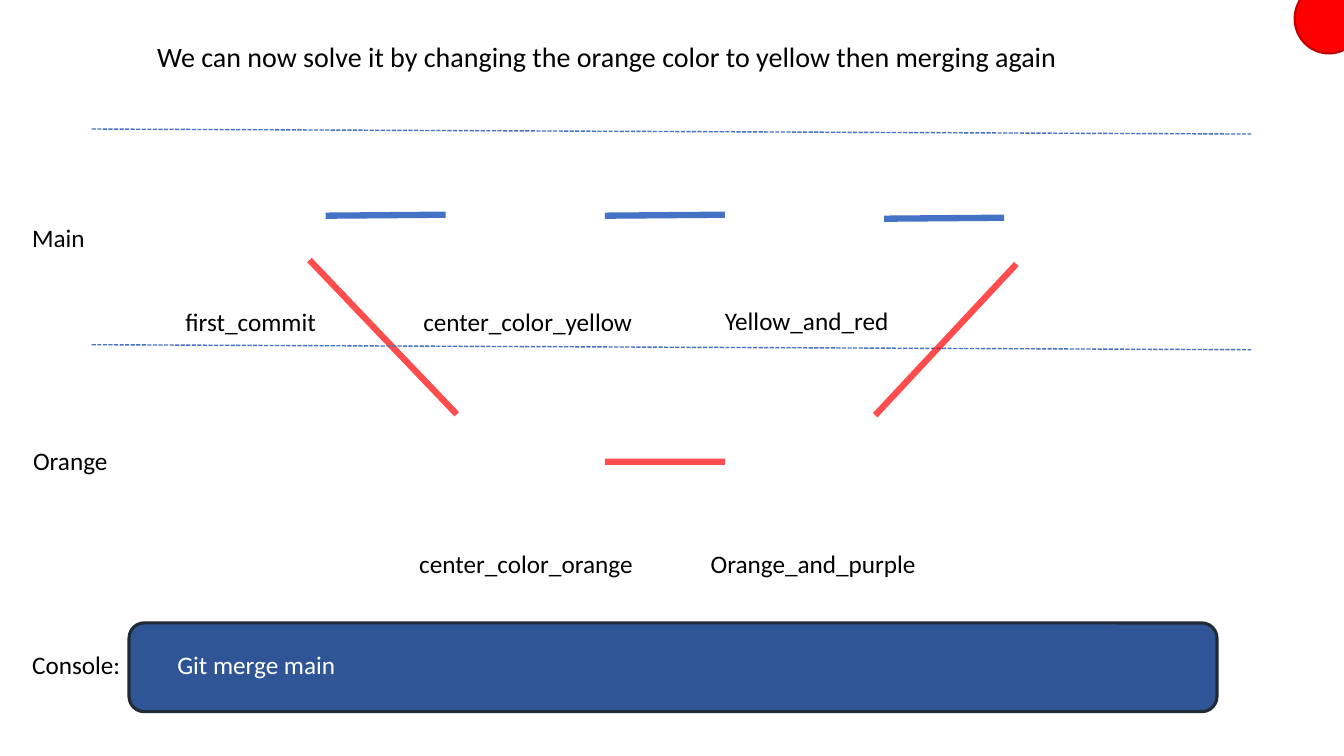
import pptx
import pptx.util
from pptx.dml.color import RGBColor
from pptx.enum.dml import MSO_LINE
from pptx.enum.shapes import MSO_CONNECTOR, MSO_SHAPE
from pptx.oxml.ns import qn
from lxml import etree

Inches, Pt = pptx.util.Inches, pptx.util.Pt

BLACK = RGBColor(0x00, 0x00, 0x00)
WHITE = RGBColor(0xFF, 0xFF, 0xFF)
BLUE = RGBColor(0x44, 0x72, 0xC4)
RED = RGBColor(0xFF, 0x00, 0x00)
DARK_RED = RGBColor(0xC0, 0x00, 0x00)
CONSOLE_FILL = RGBColor(0x2F, 0x55, 0x97)
CONSOLE_EDGE = RGBColor(0x22, 0x2A, 0x35)

TITLE = ("We can now solve it by changing the orange color to yellow "
         "then merging again", 1.46, 0.34, 10.53)
LABELS = [
    ("Console:", 0.22, 6.39, 1.38),
    ("Main", 0.22, 2.16, 1.24),
    ("first_commit", 1.74, 2.99, 1.98),
    ("center_color_yellow", 4.1, 2.99, 2.34),
    ("Yellow_and_red", 7.09, 2.98, 2.34),
    ("Orange", 0.23, 4.37, 1.24),
    ("center_color_orange", 4.06, 5.39, 2.34),
    ("Orange_and_purple", 6.95, 5.39, 2.34),
]
COMMAND = ("Git merge main", 1.66, 6.39, 8.38)

LINK_WIDTH = 1.19
MAIN_LINKS = [(3.23, 2.14), (6, 2.14), (8.77, 2.17)]
BRANCH_OUT = (3.07, 2.58, 4.53, 4.11)
ORANGE_LINK = (6, 4.58, 6 + LINK_WIDTH, 4.58)
BRANCH_BACK = (8.68, 4.12, 10.08, 2.62)
LANE_TOPS = [1.28, 3.42]

prs = pptx.Presentation()
prs.slide_width, prs.slide_height = Inches(13.33), Inches(7.5)
s = prs.slides.add_slide(prs.slide_layouts[6])


def add_text(text, x, y, w, size=18, color=BLACK):
    tf = s.shapes.add_textbox(Inches(x), Inches(y), Inches(w),
                              Inches(0.44 if size > 18 else 0.4)).text_frame
    tf.word_wrap = True
    p = tf.paragraphs[0]
    p.text = text
    p.font.name = "Calibri"
    p.font.size = Pt(size)
    p.font.color.rgb = color


def add_line(x1, y1, x2, y2, color, width=4.5, alpha=None, dash=None):
    line = s.shapes.add_connector(MSO_CONNECTOR.STRAIGHT, Inches(x1), Inches(y1),
                                  Inches(x2), Inches(y2))
    line.line.color.rgb = color
    line.line.width = Pt(width)
    if dash:
        line.line.dash_style = dash
    sp_pr = line._element.spPr
    if alpha:
        rgb = sp_pr.find(".//" + qn("a:srgbClr"))
        etree.SubElement(rgb, qn("a:alpha")).set("val", str(alpha * 1000))
    etree.SubElement(sp_pr, qn("a:effectLst"))


def add_shape(kind, x, y, w, h, fill, edge, width):
    sp = s.shapes.add_shape(kind, Inches(x), Inches(y), Inches(w), Inches(h))
    sp.shadow.inherit = False
    sp.fill.solid()
    sp.fill.fore_color.rgb = fill
    sp.line.color.rgb = edge
    sp.line.width = Pt(width)
    return sp


console = add_shape(MSO_SHAPE.ROUNDED_RECTANGLE, 1.28, 6.18, 10.79, 0.88,
                    CONSOLE_FILL, CONSOLE_EDGE, 2.25)
console.adjustments[0] = 0.17
add_text(*COMMAND, color=WHITE)

for x, y in MAIN_LINKS:
    add_line(x, y, x + LINK_WIDTH, y - 0.01, BLUE)
add_line(*BRANCH_OUT, RED, alpha=70)
for y in LANE_TOPS:
    add_line(0.91, y, 12.41, y + 0.05, BLUE, width=1, dash=MSO_LINE.SQUARE_DOT)
for link in (ORANGE_LINK, BRANCH_BACK):
    add_line(*link, RED, alpha=70)

add_text(*TITLE, size=20)
for label in LABELS:
    add_text(*label)

add_shape(MSO_SHAPE.OVAL, 12.84, -0.16, 0.68, 0.69, RED, DARK_RED, 1.5)

prs.save("out.pptx")
